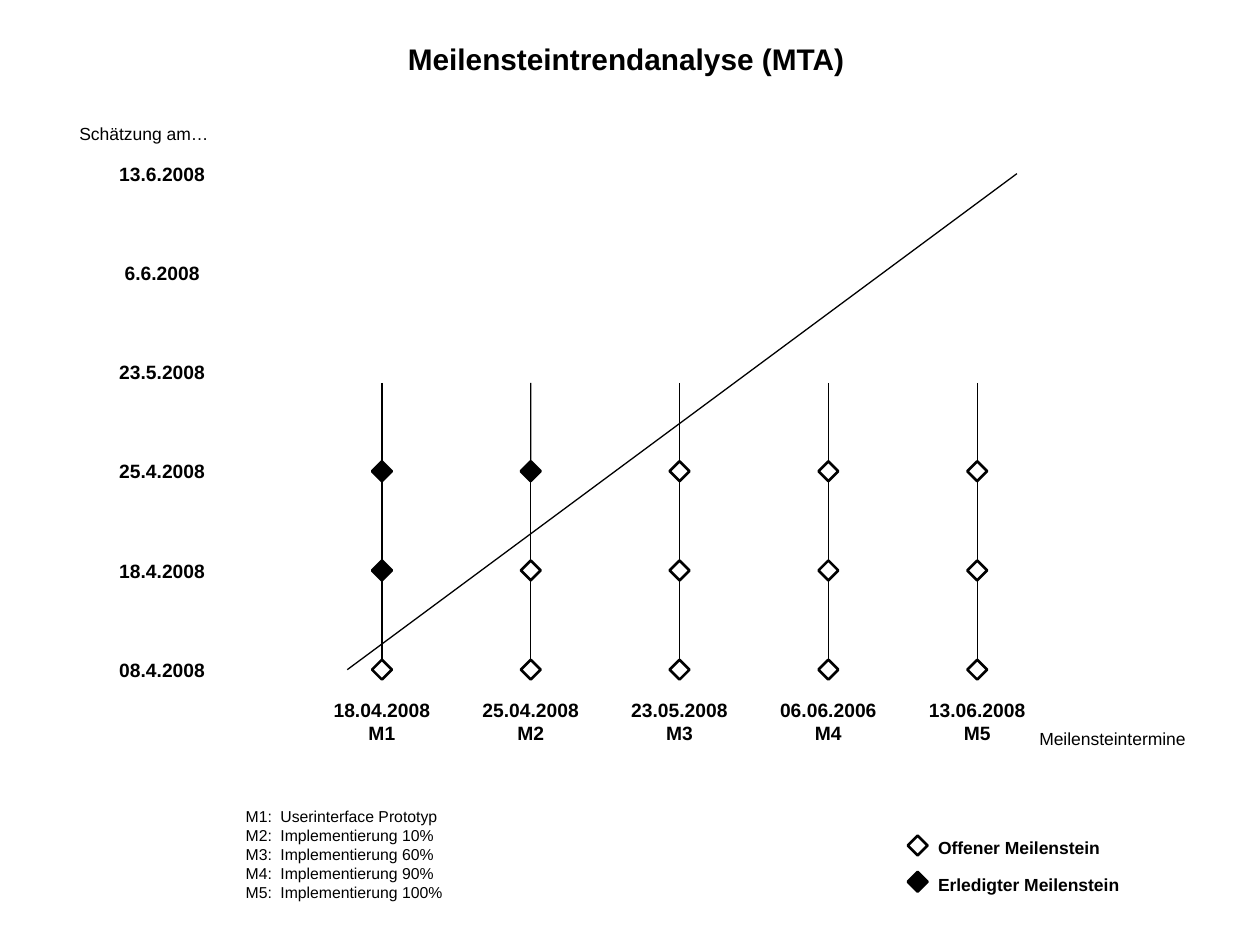
from dataclasses import dataclass

from lxml import etree
from pptx import Presentation
from pptx.dml.color import RGBColor
from pptx.enum.shapes import MSO_CONNECTOR, MSO_SHAPE
from pptx.enum.text import MSO_ANCHOR, MSO_AUTO_SIZE, PP_ALIGN
from pptx.oxml.ns import qn
from pptx.util import Cm, Pt

LEFT, CENTER = PP_ALIGN.LEFT, PP_ALIGN.CENTER
TOP, MIDDLE = MSO_ANCHOR.TOP, MSO_ANCHOR.MIDDLE
DIAMOND = MSO_SHAPE.FLOWCHART_DECISION
STRAIGHT = MSO_CONNECTOR.STRAIGHT
FIXED = MSO_AUTO_SIZE.NONE


@dataclass(frozen=True)
class Theme:
    font: str = "Arial"
    ink: RGBColor = RGBColor(0, 0, 0)
    paper: RGBColor = RGBColor(255, 255, 255)
    title: int = 17
    date: int = 11
    note: int = 10
    list: int = 9
    thin: float = 0.75
    thick: float = 1.5


THEME = Theme()
MARK = 0.4
DATES = ["13.6.2008", "6.6.2008", "23.5.2008", "25.4.2008", "18.4.2008", "08.4.2008"]
GOALS = [
    ("18.04.2008", "M1", "Userinterface Prototyp"),
    ("25.04.2008", "M2", "Implementierung 10%"),
    ("23.05.2008", "M3", "Implementierung 60%"),
    ("06.06.2006", "M4", "Implementierung 90%"),
    ("13.06.2008", "M5", "Implementierung 100%"),
]
TRENDS = [("25.4.2008", {"M1", "M2"}), ("18.4.2008", {"M1"}), ("08.4.2008", set())]


def place(shape, box):
    shape.left, shape.top, shape.width, shape.height = map(Cm, box)


def write(shape, lines, size, bold=False, align=CENTER, anchor=MIDDLE):
    frame = shape.text_frame
    frame.text = "\n".join(lines)
    frame.auto_size = FIXED
    frame.word_wrap = False
    frame.vertical_anchor = anchor
    for par in frame.paragraphs:
        par.alignment = align
        par.space_before = Pt(0)
        font = par.font
        font.name, font.size, font.bold = THEME.font, Pt(size), bold
        font.color.rgb = THEME.ink


def add_label(slide, box, lines, size, bold=False, align=CENTER):
    label = slide.shapes.add_textbox(*map(Cm, box))
    write(label, lines, size, bold, align)


def add_mark(slide, x, y, done):
    half = MARK / 2
    mark = slide.shapes.add_shape(DIAMOND, Cm(x - half), Cm(y - half), Cm(MARK), Cm(MARK))
    mark.shadow.inherit = False
    mark.fill.solid()
    mark.fill.fore_color.rgb = THEME.ink if done else THEME.paper
    mark.line.color.rgb = THEME.ink
    mark.line.width = Pt(THEME.thick)
    return mark


def add_line(slide, start, end):
    line = slide.shapes.add_connector(STRAIGHT, *map(Cm, (*start, *end)))
    line.line.color.rgb = THEME.ink
    line.line.width = Pt(THEME.thin)
    etree.SubElement(line._element.spPr, qn("a:effectLst"))
    return line


def add_title(slide, box):
    title = slide.shapes.title
    place(title, box)
    write(title, ["Meilensteintrendanalyse (MTA)"], THEME.title, bold=True)


def add_chart(slide, box):
    left, top, width, height = box
    row_gap = height / (len(DATES) - 1)
    col_gap = 3
    rows = {date: top + i * row_gap for i, date in enumerate(DATES)}

    add_label(slide, (left - 5.65, top - 1.15, 3.1, 0.7), ["Schätzung am…"], THEME.note)
    for date, y in rows.items():
        add_label(slide, (left - 4.85, y - 0.35, 2.24, 0.7), [date], THEME.date, True)

    for i, (date, name, _) in enumerate(GOALS):
        x = left + 0.7 + i * col_gap
        above = None
        for day, done in TRENDS:
            y = rows[day]
            mark = add_mark(slide, x, y, name in done)
            start = y - MARK / 2 - row_gap + MARK
            line = add_line(slide, (x, start if above else top + 4.22), (x, y - MARK / 2))
            if above:
                line.begin_connect(above, 2)
            line.end_connect(mark, 0)
            above = mark
        add_label(slide, (x - 1.22, top + height + 0.45, 2.44, 1.19), [date, name], THEME.date, True)

    add_line(slide, (left, top + height), (left + width, top))
    add_label(slide, (left + width + 0.2, top + height + 1.03, 3.45, 0.7),
              ["Meilensteintermine"], THEME.note)


def add_goals(slide, box):
    body = slide.placeholders[1]
    place(body, box)
    write(body, [f"{name}:\t{goal}" for _, name, goal in GOALS], THEME.list, align=LEFT, anchor=TOP)
    for par in body.text_frame.paragraphs:
        props = par._p.get_or_add_pPr()
        props.set("marL", str(Cm(0.7)))
        props.set("indent", str(-Cm(0.7)))
        etree.SubElement(props, qn("a:buNone"))
        props.append(props.find(qn("a:defRPr")))


def add_legend(slide, box):
    left, top, width, height = box
    row = height / 2
    for i, (text, done) in enumerate([("Offener Meilenstein", False), ("Erledigter Meilenstein", True)]):
        y = top + (i + 0.5) * row
        add_mark(slide, left + MARK / 2, y, done)
        add_label(slide, (left + 0.36, y - 0.3, width - 0.36, 0.7), [text], THEME.note, True, LEFT)


def main():
    deck = Presentation()
    deck.slide_width, deck.slide_height = Cm(25.4), Cm(19.05)
    slide = deck.slides.add_slide(deck.slide_layouts[1])
    add_title(slide, (7.95, 0.69, 9.35, 1))
    add_chart(slide, (7, 3.5, 13.5, 10))
    add_goals(slide, (4.7, 16.13, 4.5, 2.16))
    add_legend(slide, (18.3, 16.68, 4.5, 1.46))
    deck.save("out.pptx")


if __name__ == "__main__":
    main()
